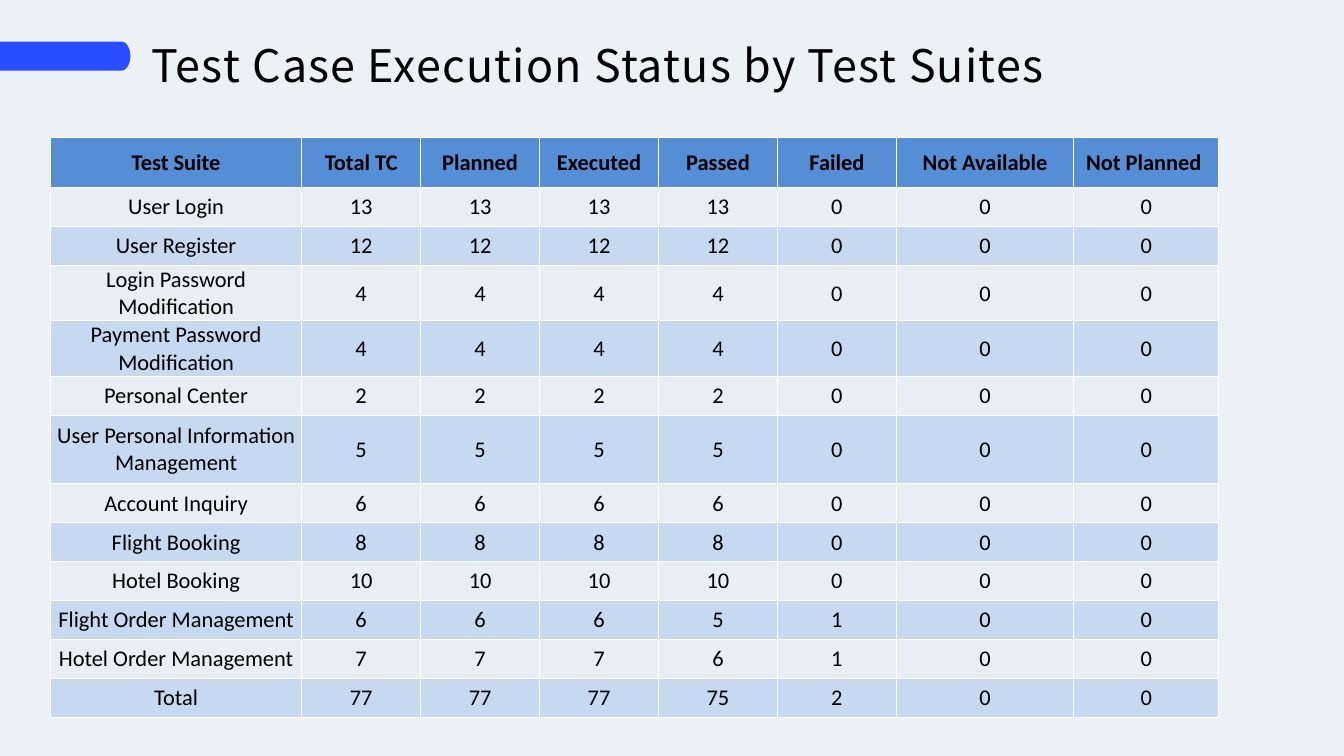
import math

import lxml.etree
import pptx
import pptx.dml.color
import pptx.enum.text
import pptx.oxml.ns
import pptx.util

Inches, Pt = pptx.util.Inches, pptx.util.Pt
RGB = pptx.dml.color.RGBColor.from_string
ALIGN, ANCHOR = pptx.enum.text.PP_ALIGN, pptx.enum.text.MSO_ANCHOR
qn = pptx.oxml.ns.qn

COLORS = {
    "background": "EDF0F4",
    "accent": "284EFF",
    "text": "000000",
    "header": "558ED5",
    "light": "E9EDF4",
    "band": "C6D9F1",
    "border": "FFFFFF",
}

TITLE = "Test Case Execution Status by Test Suites"
HEADERS = ["Test Suite", "Total TC", "Planned", "Executed", "Passed", "Failed",
           "Not Available", "Not Planned "]
SUITES = [
    ("User Login", 13, 13, 13, 13, 0, 0, 0),
    ("User Register", 12, 12, 12, 12, 0, 0, 0),
    ("Login Password Modification", 4, 4, 4, 4, 0, 0, 0),
    ("Payment Password Modification", 4, 4, 4, 4, 0, 0, 0),
    ("Personal Center", 2, 2, 2, 2, 0, 0, 0),
    ("User Personal Information Management", 5, 5, 5, 5, 0, 0, 0),
    ("Account Inquiry", 6, 6, 6, 6, 0, 0, 0),
    ("Flight Booking", 8, 8, 8, 8, 0, 0, 0),
    ("Hotel Booking", 10, 10, 10, 10, 0, 0, 0),
    ("Flight Order Management", 6, 6, 6, 5, 1, 0, 0),
    ("Hotel Order Management", 7, 7, 7, 6, 1, 0, 0),
    ("Total", 77, 77, 77, 75, 2, 0, 0),
]
COL_WIDTHS = [3.74] + [1.77] * 5 + [2.64, 2.16]
HEADER_HEIGHT, ROW_HEIGHT = 0.74, 0.58
TALL_ROWS = {
    "Login Password Modification": 0.8,
    "Payment Password Modification": 0.8,
    "User Personal Information Management": 1.02,
}


def write(tf, text, *, font, size, align, bold=False, line=None, tracking=None):
    p = tf.paragraphs[0]
    p.alignment = align
    if line:
        p.line_spacing = Pt(line)
    r = p.add_run()
    r.text = text
    r.font.name, r.font.size, r.font.bold = font, Pt(size), bold
    r.font.color.rgb = RGB(COLORS["text"])
    if tracking:
        r._r.get_or_add_rPr().set("spc", str(round(tracking * 100)))


def set_insets(box, left, top, right, bottom):
    box.margin_left, box.margin_top = Inches(left), Inches(top)
    box.margin_right, box.margin_bottom = Inches(right), Inches(bottom)


def add_borders(cell, color, width):
    """Line all four sides; the lines must come before the fill in tcPr."""
    tc_pr = cell._tc.get_or_add_tcPr()
    for i, side in enumerate(("lnL", "lnR", "lnT", "lnB")):
        ln = lxml.etree.Element(qn("a:" + side), w=str(Pt(width)))
        fill = lxml.etree.SubElement(ln, qn("a:solidFill"))
        lxml.etree.SubElement(fill, qn("a:srgbClr"), val=color)
        tc_pr.insert(i, ln)


def add_title(s):
    sp = s.shapes.title
    sp.left, sp.top, sp.width, sp.height = map(Inches, (2.25, 0.12, 14, 1.19))
    tf = sp.text_frame
    tf.word_wrap = True
    tf.auto_size = pptx.enum.text.MSO_AUTO_SIZE.NONE
    tf.vertical_anchor = ANCHOR.TOP
    set_insets(tf, 0, 0, 0, 0)
    write(tf, TITLE, font="Noto Sans CJK TC", size=48, align=ALIGN.LEFT,
          line=89.6, tracking=1.3)


def add_accent_bar(s, left, top, width, height, end):
    """Bar whose two ends are half ellipses, each `end` inches deep."""
    points = []
    for center, start in ((left + width - end, -90), (left + end, 90)):
        for step in range(0, 181, 10):
            a = math.radians(start + step)
            points.append((Inches(center + end * math.cos(a)),
                           Inches(top + height / 2 * (1 + math.sin(a)))))
    builder = s.shapes.build_freeform(*points[0])
    builder.add_line_segments(points[1:], close=True)
    sp = builder.convert_to_shape()
    sp.shadow.inherit = False
    sp.fill.solid()
    sp.fill.fore_color.rgb = RGB(COLORS["accent"])
    sp.line.fill.background()


def add_status_table(s, left, top):
    rows = [HEADERS] + SUITES
    heights = [HEADER_HEIGHT] + [TALL_ROWS.get(r[0], ROW_HEIGHT) for r in SUITES]
    table = s.shapes.add_table(
        len(rows), len(HEADERS), Inches(left), Inches(top),
        Inches(sum(COL_WIDTHS)), Inches(sum(heights))).table
    for col, width in zip(table.columns, COL_WIDTHS):
        col.width = Inches(width)
    for i, (values, height) in enumerate(zip(rows, heights)):
        table.rows[i].height = Inches(height)
        fill = "header" if i == 0 else "light" if i % 2 else "band"
        for j, value in enumerate(values):
            cell = table.cell(i, j)
            cell.fill.solid()
            cell.fill.fore_color.rgb = RGB(COLORS[fill])
            add_borders(cell, COLORS["border"], 1)
            cell.vertical_anchor = ANCHOR.MIDDLE
            if i == 0 and j > 0:
                set_insets(cell, 0.01, 0.08, 0.01, 0.08)
            else:
                set_insets(cell, 0.01, 0.01, 0.01, 0)
            write(cell.text_frame, str(value), font="Calibri", size=24,
                  align=ALIGN.CENTER, bold=i == 0)


def main():
    prs = pptx.Presentation()
    prs.slide_width, prs.slide_height = Inches(20), Inches(11.25)
    s = prs.slides.add_slide(prs.slide_layouts[5])
    s.background.fill.solid()
    s.background.fill.fore_color.rgb = RGB(COLORS["background"])
    add_title(s)
    add_accent_bar(s, -0.17, 0.62, 2.11, 0.43, end=0.13)
    add_status_table(s, 0.75, 2.05)
    prs.save("out.pptx")


if __name__ == "__main__":
    main()
